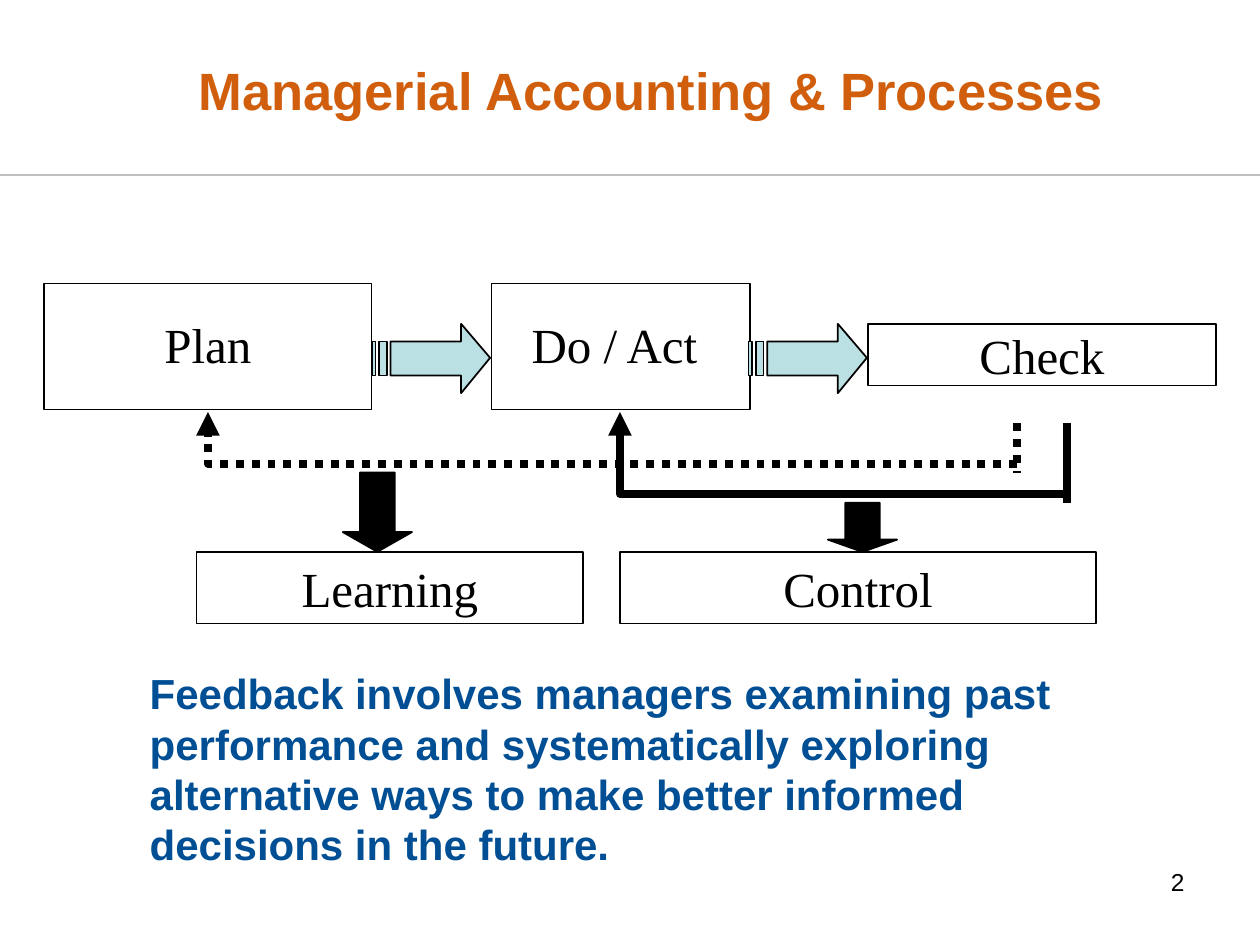
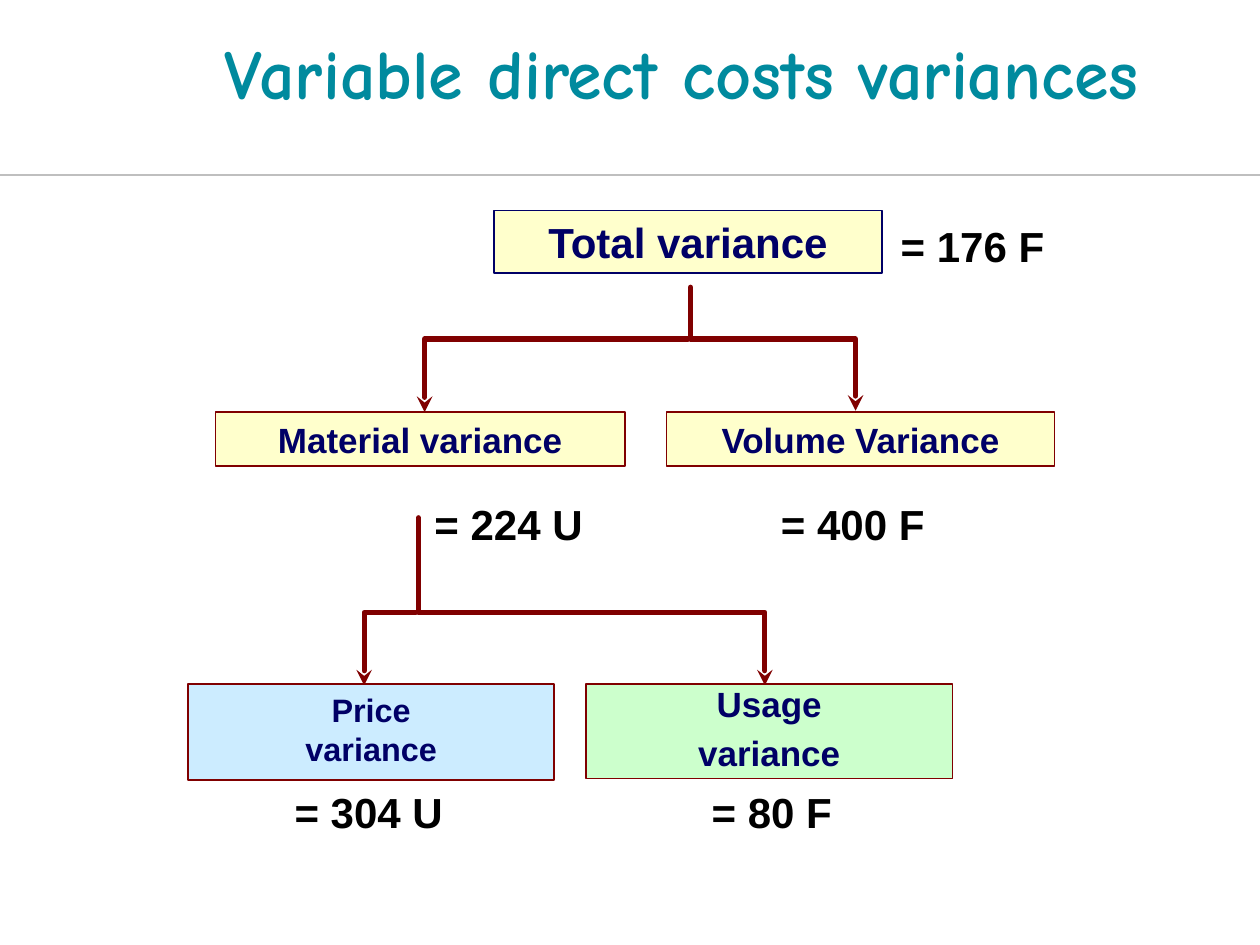
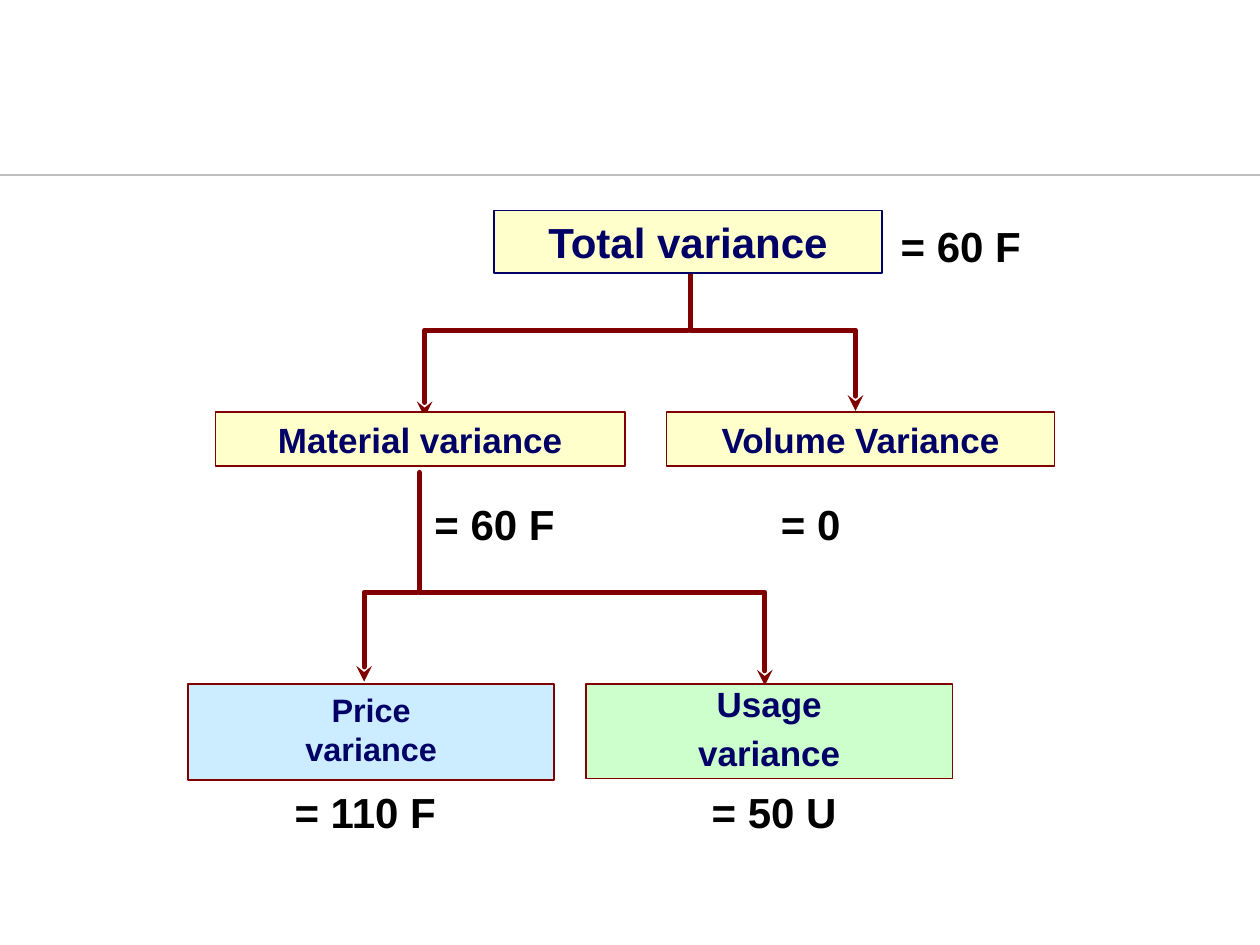
from dataclasses import dataclass

import pptx
import pptx.dml.color
import pptx.enum.dml
import pptx.enum.shapes
import pptx.enum.text
import pptx.oxml.xmlchemy
import pptx.util
from lxml import etree
from pptx.oxml import ns

Inches = pptx.util.Inches
SHAPES = pptx.enum.shapes.MSO_SHAPE
CONNECTORS = pptx.enum.shapes.MSO_CONNECTOR
ALIGN = pptx.enum.text.PP_ALIGN
ANCHOR = pptx.enum.text.MSO_ANCHOR


@dataclass(frozen=True)
class Theme:
    black: str = "000000"
    rule: str = "BFBFBF"
    orange: str = "D05E0D"
    teal: str = "008A9E"
    blue: str = "004F94"
    navy: str = "000066"
    maroon: str = "800000"
    cream: str = "FFFFCC"
    sky: str = "CCECFF"
    mint: str = "CCFFCC"
    pale_teal: str = "BBE0E3"
    sans: str = "Arial"
    serif: str = "Times New Roman"
    comic: str = "Comic Neue"
    number_size: float = 14
    price_size: float = 18.5
    label_size: float = 20
    body_size: float = 24
    process_size: float = 28
    heading_size: float = 30
    display_size: float = 40


THEME = Theme()

# Content: process slide
PROCESS_TITLE = "Managerial Accounting & Processes"
PAGE_NUMBER = "2"
FEEDBACK = ("Feedback involves managers examining past performance and "
            "systematically exploring alternative ways to make better "
            "informed decisions in the future.")
# text, box, top inset
PROCESS_BOXES = [
    ("Plan", (0.35, 2.25, 2.6, 1), 0.25),
    ("Do / Act ", (3.9, 2.25, 2.05, 1), 0.25),
    ("Check", (6.89, 2.57, 2.76, 0.49), 0.01),
    ("Control", (4.92, 4.38, 3.78, 0.57), 0.05),
    ("Learning", (1.56, 4.38, 3.07, 0.57), 0.05),
]
STRIPED_ARROW_LEFTS = [2.95, 5.94]
# target x, source x, level of the elbow, end of the source line, dotted
FEEDBACK_LOOPS = [
    (1.65, 8.07, 3.68, 3.75, True),
    (4.92, 8.47, 3.92, 3.99, False),
]
# box, head adjustment
DOWN_ARROWS = [
    ((6.57, 3.99, 0.55, 0.39), 0.25),
    ((2.72, 3.75, 0.55, 0.63), 0.285),
]

# Content: variance trees
VARIANCE_TITLE = "Variable direct costs variances"
# text, box, fill, line, text format
VARIANCE_BOXES = [
    ("Total variance", (3.92, 1.67, 3.08, 0.5), THEME.cream, THEME.navy,
     dict(size=THEME.body_size)),
    ("Material variance", (1.71, 3.27, 3.25, 0.43), THEME.cream, THEME.maroon,
     dict(size=THEME.label_size)),
    ("Volume Variance", (5.29, 3.27, 3.08, 0.43), THEME.cream, THEME.maroon,
     dict(size=THEME.label_size)),
    ("Price\nvariance", (1.49, 5.43, 2.91, 0.76), THEME.sky, THEME.maroon,
     dict(size=THEME.price_size)),
    ("Usage\nvariance", (4.65, 5.43, 2.91, 0.75), THEME.mint, THEME.maroon,
     dict(size=THEME.label_size, line_spacing=0.8, space_before=8.8)),
]
VALUE_BOXES = {
    "total": (7.05, 1.7, 1.89, 0.5),
    "material": (3.35, 3.91, 1.5, 0.5),
    "volume": (6.1, 3.91, 1.5, 0.5),
    "price": (2.24, 6.19, 1.5, 0.5),
    "usage": (5.55, 6.19, 1.26, 0.5),
}
# branch: stem x, stem top, level, (left x, left end), (right x, right end)
VARIANCE_SLIDES = [
    dict(title=VARIANCE_TITLE,
         values=dict(total="= 176 F", material="= 224 U", volume="= 400 F",
                     price="= 304 U", usage="= 80 F"),
         branches=[(5.48, 2.28, 2.69, (3.37, 3.27), (6.79, 3.26)),
                   (3.32, 4.11, 4.86, (2.89, 5.44), (6.07, 5.44))]),
    dict(title=None,
         values=dict(total="= 60 F", material="= 60 F", volume="= 0",
                     price="= 110 F", usage="= 50 U"),
         branches=[(5.48, 2.17, 2.62, (3.37, 3.31), (6.79, 3.26)),
                   (3.33, 3.75, 4.7, (2.89, 5.41), (6.07, 5.44))]),
]


# Shared helpers
def rgb(color):
    return pptx.dml.color.RGBColor.from_string(color)


def write_text(shape, text, *, size, color=THEME.black, font=THEME.sans,
               bold=False, align=ALIGN.LEFT, anchor=ANCHOR.TOP, top_inset=0.05,
               line_spacing=None, space_before=0):
    frame = shape.text_frame
    frame.word_wrap = True
    frame.auto_size = pptx.enum.text.MSO_AUTO_SIZE.NONE
    frame.vertical_anchor = anchor
    frame.margin_left = frame.margin_right = Inches(0.1)
    frame.margin_top = Inches(top_inset)
    frame.margin_bottom = Inches(min(top_inset, 0.05))
    for index, line in enumerate(text.split("\n")):
        paragraph = frame.add_paragraph() if index else frame.paragraphs[0]
        paragraph.alignment = align
        paragraph.space_before = pptx.util.Pt(space_before if index else 0)
        if line_spacing:
            paragraph.line_spacing = line_spacing
        run = paragraph.add_run()
        run.text = line
        run.font.name, run.font.size = font, pptx.util.Pt(size)
        run.font.bold = bold
        run.font.color.rgb = rgb(color)


def style_line(shape, color, width, dotted=False, arrow=None, round_cap=False):
    shape.line.color.rgb = rgb(color)
    shape.line.width = pptx.util.Pt(width)
    if dotted:
        shape.line.dash_style = pptx.enum.dml.MSO_LINE.ROUND_DOT
    line = shape.line._get_or_add_ln()
    if round_cap:
        line.set("cap", "rnd")
        etree.SubElement(line, ns.qn("a:round"))
    if arrow:
        etree.SubElement(line, ns.qn("a:tailEnd"), type=arrow)


def style_shape(shape, fill, color, width, **line_format):
    shape.shadow.inherit = False
    if fill:
        shape.fill.solid()
        shape.fill.fore_color.rgb = rgb(fill)
    else:
        shape.fill.background()
    style_line(shape, color, width, **line_format)


def add_box(slide, box, fill=None, line=THEME.black, kind=SHAPES.RECTANGLE):
    shape = slide.shapes.add_shape(kind, *map(Inches, box))
    style_shape(shape, fill, line, 1)
    return shape


def add_label(slide, text, box, **text_format):
    label = slide.shapes.add_textbox(*map(Inches, box))
    write_text(label, text, **text_format)


def add_line(slide, start, end, color, width, kind=CONNECTORS.STRAIGHT,
             **line_format):
    connector = slide.shapes.add_connector(kind, *map(Inches, start + end))
    style_line(connector, color, width, **line_format)
    etree.SubElement(connector._element.spPr, ns.qn("a:effectLst"))
    return connector


def add_outline(slide, contours, close):
    """Build one freeform from contours given as points in inches."""
    contours = [[(Inches(x), Inches(y)) for x, y in contour]
                for contour in contours]
    builder = slide.shapes.build_freeform(*contours[0][0])
    for index, contour in enumerate(contours):
        if index:
            builder.move_to(*contour[0])
        builder.add_line_segments(contour[1:], close=close)
    return builder.convert_to_shape()


def add_slide(presentation, title=None, box=None, **title_format):
    layout = presentation.slide_layouts[5 if title else 6]
    slide = presentation.slides.add_slide(layout)
    add_line(slide, (0, 1.39), (10, 1.39), THEME.rule, 0.75)
    if title:
        shape = slide.shapes.title
        shape.left, shape.top, shape.width, shape.height = map(Inches, box)
        write_text(shape, title, bold=True, align=ALIGN.CENTER,
                   anchor=ANCHOR.MIDDLE, **title_format)
    return slide


# Process slide
def add_striped_arrow(slide, left):
    top, middle, bottom = 2.57, 2.84, 3.12
    shaft_top, shaft_bottom = 2.71, 2.98
    neck, tip = left + 0.71, left + 0.94
    body = [(neck, top), (neck, shaft_top), (left + 0.15, shaft_top),
            (left + 0.15, shaft_bottom), (neck, shaft_bottom),
            (neck, bottom), (tip, middle)]
    stripes = [[(left + a, shaft_top), (left + a, shaft_bottom),
                (left + b, shaft_bottom), (left + b, shaft_top)]
               for a, b in [(0.06, 0.12), (0, 0.03)]]
    arrow = add_outline(slide, [body] + stripes, close=True)
    style_shape(arrow, THEME.pale_teal, THEME.black, 1)


def add_feedback_loop(slide, target, source, level, source_end, dotted):
    elbow = add_line(slide, (target, 3.27), (source, level), THEME.black, 4.5,
                     kind=CONNECTORS.ELBOW, dotted=dotted, arrow="triangle")
    properties = elbow._element.spPr
    properties.find(ns.qn("a:prstGeom")).set("prst", "bentConnector2")
    properties.find(ns.qn("a:xfrm")).set("rot", str(180 * 60000))
    add_line(slide, (source, 3.36), (source, source_end), THEME.black, 4.5,
             dotted=dotted)


def build_process_slide(presentation):
    slide = add_slide(presentation, PROCESS_TITLE, (0.67, 0.25, 9, 0.92),
                      size=THEME.heading_size, color=THEME.orange)
    add_label(slide, PAGE_NUMBER, (7.17, 6.83, 2.33, 0.52),
              size=THEME.number_size, align=ALIGN.RIGHT)
    for text, box, top_inset in PROCESS_BOXES:
        write_text(add_box(slide, box), text, size=THEME.process_size,
                   font=THEME.serif, align=ALIGN.CENTER, top_inset=top_inset)
    for left in STRIPED_ARROW_LEFTS:
        add_striped_arrow(slide, left)
    for loop in FEEDBACK_LOOPS:
        add_feedback_loop(slide, *loop)
    for box, head in DOWN_ARROWS:
        arrow = add_box(slide, box, fill=THEME.black, kind=SHAPES.DOWN_ARROW)
        arrow.adjustments[0], arrow.adjustments[1] = 0.5, head
    add_label(slide, FEEDBACK, (1.09, 5.25, 8.2, 1.7), size=THEME.body_size,
              color=THEME.blue, bold=True)


# Variance slides
def add_branch(slide, stem, top, level, left, right):
    routes = [
        [(stem, top), (stem, level), (right[0], level), right],
        [(stem - 0.02, level), (left[0], level), left],
    ]
    for route in routes:
        outline = add_outline(slide, [route], close=False)
        style_shape(outline, None, THEME.maroon, 3, arrow="stealth",
                    round_cap=True)


def build_variance_slide(presentation, title, values, branches):
    slide = add_slide(presentation, title, (0.82, 0.21, 9.18, 0.71),
                      size=THEME.display_size, color=THEME.teal,
                      font=THEME.comic)
    for branch in branches:
        add_branch(slide, *branch)
    for text, box, fill, line, text_format in VARIANCE_BOXES:
        write_text(add_box(slide, box, fill, line), text, color=THEME.navy,
                   bold=True, align=ALIGN.CENTER, **text_format)
    for name, value in values.items():
        add_label(slide, value, VALUE_BOXES[name], size=THEME.body_size,
                  bold=True)


def main():
    presentation = pptx.Presentation()
    presentation.slide_width, presentation.slide_height = Inches(10), Inches(7.5)
    build_process_slide(presentation)
    for content in VARIANCE_SLIDES:
        build_variance_slide(presentation, **content)
    presentation.save("out.pptx")


if __name__ == "__main__":
    main()
